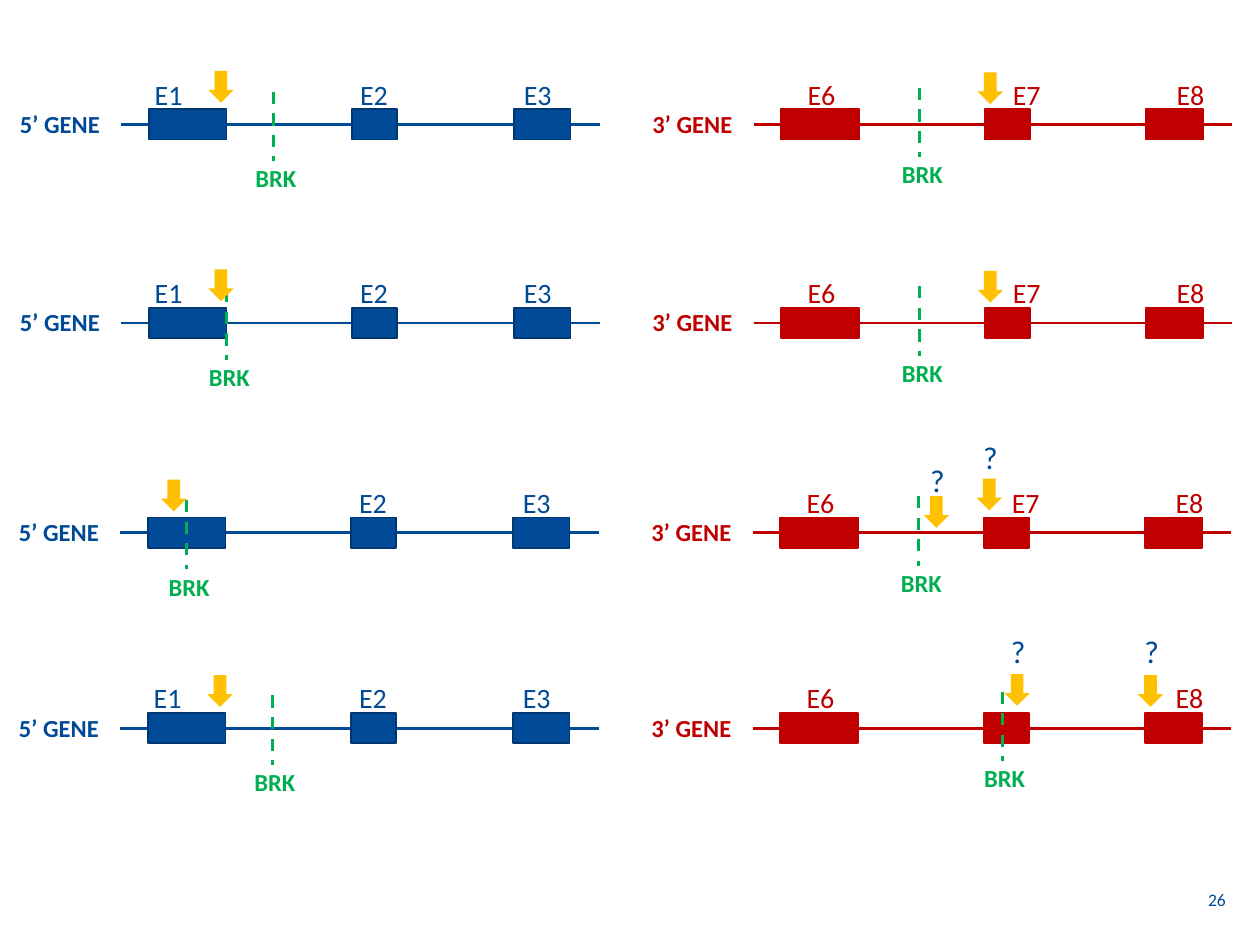
from dataclasses import dataclass
from lxml.etree import SubElement
from pptx import Presentation
from pptx.dml.color import RGBColor
from pptx.enum.dml import MSO_LINE
from pptx.enum.shapes import MSO_CONNECTOR, MSO_SHAPE
from pptx.enum.text import MSO_ANCHOR, MSO_AUTO_SIZE, PP_ALIGN
from pptx.oxml.ns import qn
from pptx.util import Cm, Pt


@dataclass(frozen=True)
class Theme:
    font: str = "Calibri"
    blue: str = "004A97"
    blue_text: str = "004997"
    blue_edge: str = "003770"
    red: str = "C00000"
    green: str = "00B050"
    amber: str = "FFC000"
    exon_size: int = 16
    gene_size: int = 14
    query_size: int = 18
    page_size: int = 10


@dataclass(frozen=True)
class Gene:
    name: str
    exons: tuple
    fill: str
    edge: str
    text: str
    label_dx: float  # shift of the exon labels
    break_top: float  # top of the break line, from the axis


THEME = Theme()
FIVE = Gene("5’ GENE", ("E1", "E2", "E3"), THEME.blue, THEME.blue_edge,
            THEME.blue_text, 0, -0.66)
THREE = Gene("3’ GENE", ("E6", "E7", "E8"), THEME.red, THEME.red,
             THEME.red, 0.41, -0.74)

# Geometry in cm, relative to the left end and axis of a gene
AXIS_START, AXIS_END = 2.29, 11.94
EXONS = ((2.85, 1.57), (6.95, 0.91), (10.21, 1.14))  # left, width
EXON_LABELS = (2.72, 6.86, 10.16)
EXON_H = 0.61
LABEL_TOP = -1.08
BREAK_H = 1.4
ARROW_W, ARROW_H = 0.51, 0.64

# Each row: left shift, axis, then per gene the exons without a label,
# the break position and the arrows (left, top, top of question mark)
ROWS = (
    (0.02, 2.51, ((), 5.36, ((4.05, -1.08, None),)),
     ((), 5.64, ((6.81, -1.05, None),))),
    (0.02, 6.51, ((), 4.42, ((4.05, -1.08, None),)),
     ((), 5.64, ((6.81, -1.05, None),))),
    (0, 10.74, (("E1",), 3.63, ((3.12, -1.07, None),)),
     ((), 5.64, ((5.74, -0.74, -1.57), (6.81, -1.09, -2.04)))),
    (0, 14.68, ((), 5.36, ((4.05, -1.07, None),)),
     (("E7",), 7.32, ((7.37, -1.09, -2.06), (10.06, -1.07, -2.06)))),
)
FIVE_LEFT, THREE_LEFT = 0.13, 12.88


def add_text(s, text, x, y, w, h, *, size, color, bold=False,
             align=PP_ALIGN.LEFT, page=False):
    tb = s.shapes.add_textbox(Cm(x), Cm(y), Cm(w), Cm(h))
    tf = tb.text_frame
    tf.word_wrap = page
    if page:
        tf.margin_left = tf.margin_right = tf.margin_top = 0
        tf.vertical_anchor = MSO_ANCHOR.MIDDLE
    else:
        tf.auto_size = MSO_AUTO_SIZE.SHAPE_TO_FIT_TEXT
    p = tf.paragraphs[0]
    p.alignment = align
    r = p.add_run()
    r.text = text
    r.font.name = THEME.font
    r.font.size = Pt(size)
    r.font.bold = bold
    r.font.color.rgb = RGBColor.from_string(color)


def add_box(s, kind, x, y, w, h, fill, edge=None):
    sp = s.shapes.add_shape(kind, Cm(x), Cm(y), Cm(w), Cm(h))
    sp.shadow.inherit = False
    sp.fill.solid()
    sp.fill.fore_color.rgb = RGBColor.from_string(fill)
    if edge:
        sp.line.color.rgb = RGBColor.from_string(edge)
        sp.line.width = Pt(1)
    else:
        sp.line.fill.background()


def add_line(s, x1, y1, x2, y2, color, width, dash=None):
    ln = s.shapes.add_connector(MSO_CONNECTOR.STRAIGHT,
                                Cm(x1), Cm(y1), Cm(x2), Cm(y2))
    ln.line.color.rgb = RGBColor.from_string(color)
    ln.line.width = Pt(width)
    if dash:
        ln.line.dash_style = dash
    SubElement(ln._element.spPr, qn("a:effectLst"))


def add_break(s, x, y):
    """Dashed breakpoint line with its caption."""
    add_line(s, x, y, x, y + BREAK_H, THEME.green, 1.75, MSO_LINE.DASH)
    add_text(s, "BRK", x - 0.61, y + 1.32, 1.35, 0.86,
             size=THEME.gene_size, color=THEME.green, bold=True)


def add_gene(s, gene, left, axis, unlabelled, break_x, arrows):
    """One gene: axis, exons, labels, breakpoint and arrows."""
    add_line(s, left + AXIS_START, axis, left + AXIS_END, axis, gene.fill, 1.5)
    for name, (x, w), label_x in zip(gene.exons, EXONS, EXON_LABELS):
        add_box(s, MSO_SHAPE.RECTANGLE, left + x, axis - EXON_H / 2, w, EXON_H,
                gene.fill, gene.edge)
        if name not in unlabelled:
            add_text(s, name, left + label_x + gene.label_dx, axis + LABEL_TOP,
                     1.09, 0.94, size=THEME.exon_size, color=gene.text)
    add_text(s, gene.name, left, axis - 0.44, 2.13, 0.86,
             size=THEME.gene_size, color=gene.text, bold=True)
    add_break(s, left + break_x, axis + gene.break_top)
    for x, y, query_y in arrows:
        add_box(s, MSO_SHAPE.DOWN_ARROW, left + x, axis + y,
                ARROW_W, ARROW_H, THEME.amber)
        if query_y is not None:
            add_text(s, "?", left + x - 0.12, axis + query_y, 0.81, 1.02,
                     size=THEME.query_size, color=THEME.blue_text)


def main():
    prs = Presentation()
    prs.slide_width, prs.slide_height = Cm(25.4), Cm(19.05)
    s = prs.slides.add_slide(prs.slide_layouts[6])

    # Page number
    add_text(s, "26", 19, 17.68, 5.71, 1.02, size=THEME.page_size,
             color=THEME.blue, align=PP_ALIGN.RIGHT, page=True)

    # Gene pairs
    for shift, axis, five, three in ROWS:
        add_gene(s, FIVE, FIVE_LEFT + shift, axis, *five)
        add_gene(s, THREE, THREE_LEFT + shift, axis, *three)

    prs.save("out.pptx")


if __name__ == "__main__":
    main()
